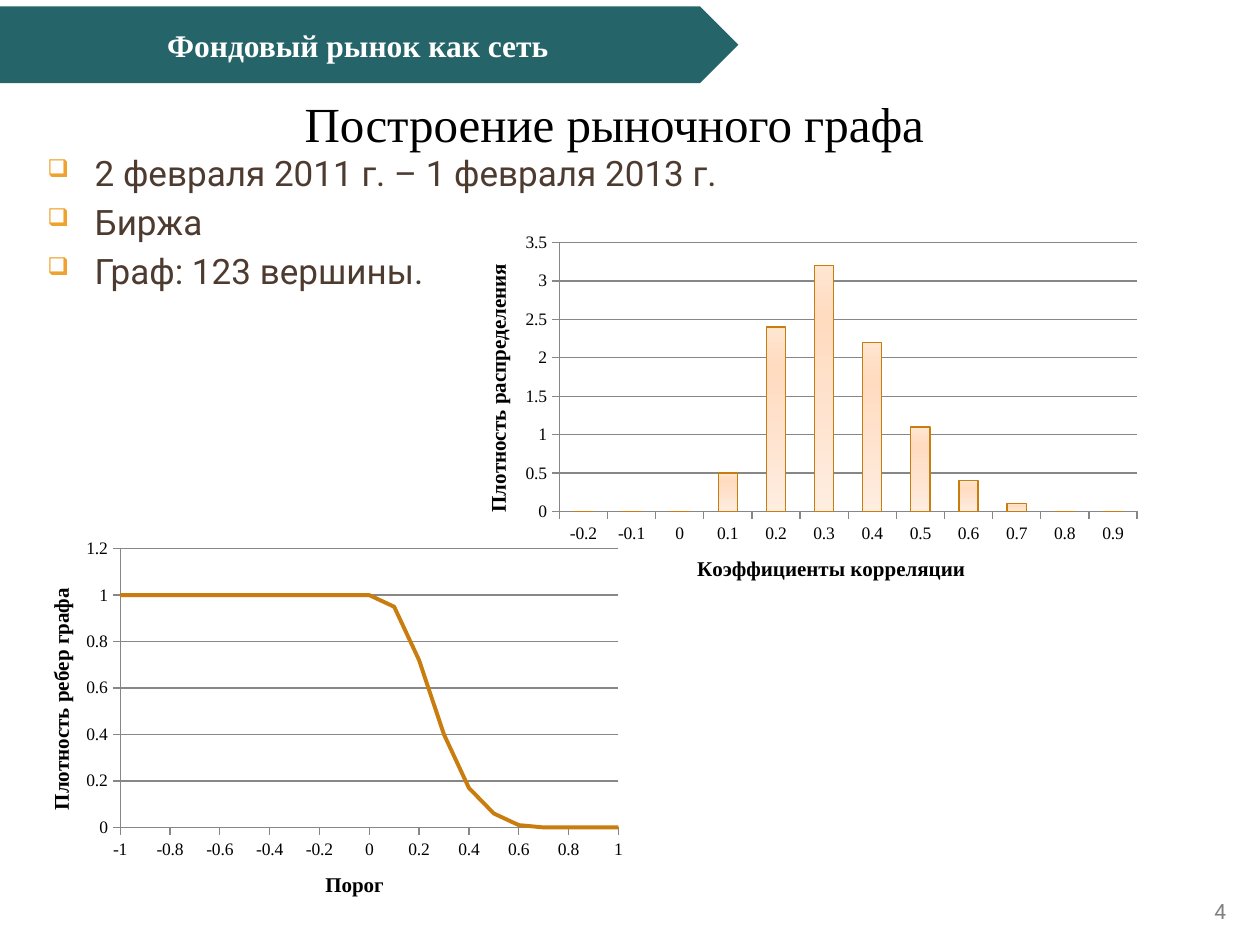
import pptx
import pptx.chart.data
import pptx.dml.color
import pptx.enum.chart
import pptx.enum.shapes
import pptx.enum.text
import pptx.oxml
import pptx.oxml.ns
import pptx.util

Pt = pptx.util.Pt
ALIGN = pptx.enum.text.PP_ALIGN
ANCHOR = pptx.enum.text.MSO_ANCHOR
TYPE = pptx.enum.chart.XL_CHART_TYPE
SERIF, SANS = "Times New Roman", "Roboto"
HUES = {
    "black": "000000", "white": "FFFFFF", "teal": "256569", "brown": "4E3B30",
    "gold": "F0A22E", "amber": "C87D0E", "gray": "808080", "grid": "878787",
}
FADE = [(0, "FFE6D1"), (22, "FFDBC0"), (100, "FFEDE0")]


def rgb(name):
    return pptx.dml.color.RGBColor.from_string(HUES[name])


def xml(tag, attrs="", inner=""):
    """Make an element such as a:buChar from its tag, attributes and content."""
    names = pptx.oxml.ns.nsdecls("a", "c")
    return pptx.oxml.parse_xml(f"<{tag} {names} {attrs}>{inner}</{tag}>")


class Deck:
    def __init__(self, wide, high):
        self.file = pptx.Presentation()
        self.file.slide_width, self.file.slide_height = Pt(wide), Pt(high)
        self.slide = self.file.slides.add_slide(self.file.slide_layouts[6])

    def style(self, font, size, hue, face=SERIF, bold=False):
        font.size, font.name, font.bold = Pt(size), face, bold
        font.color.rgb = rgb(hue)

    def fill(self, frame, lines, look, align, anchor, bullet=False):
        frame.word_wrap = True
        frame.vertical_anchor = anchor
        for i, line in enumerate(lines):
            para = frame.add_paragraph() if i else frame.paragraphs[0]
            para.text, para.alignment = line, align
            if bullet:
                self.bullet(para)
            self.style(para.font, **look)

    def bullet(self, para):
        props = para._p.get_or_add_pPr()
        props.set("marL", str(Pt(27)))
        props.set("indent", str(Pt(-27)))
        props.append(xml("a:buClr", "", f'<a:srgbClr val="{HUES["gold"]}"/>'))
        props.append(xml("a:buSzPct", 'val="70000"'))
        props.append(xml("a:buChar", 'char="❑"'))
        para.space_before = Pt(4)

    def text(self, box, lines, look, align=ALIGN.LEFT, anchor=ANCHOR.TOP, bullet=False):
        shape = self.slide.shapes.add_textbox(*map(Pt, box))
        self.fill(shape.text_frame, lines, look, align, anchor, bullet)

    def banner(self, box, line, look):
        kind = pptx.enum.shapes.MSO_SHAPE.PENTAGON
        shape = self.slide.shapes.add_shape(kind, *map(Pt, box))
        shape.shadow.inherit = False
        shape.fill.solid()
        shape.fill.fore_color.rgb = rgb("teal")
        shape.line.fill.background()
        self.fill(shape.text_frame, [line], look, ALIGN.CENTER, ANCHOR.MIDDLE)

    def axis(self, axis, title, grid, low=None, high=None, step=None):
        axis.has_title = True
        axis.axis_title.text_frame.text = title
        para = axis.axis_title.text_frame.paragraphs[0]
        self.style(para.font, 12, "black", bold=True)
        self.style(axis.tick_labels.font, 10, "black")
        axis.major_tick_mark = pptx.enum.chart.XL_TICK_MARK.OUTSIDE
        axis.minor_tick_mark = pptx.enum.chart.XL_TICK_MARK.NONE
        axis.has_major_gridlines = grid
        lines = [axis.format.line]
        if grid:
            lines.append(axis.major_gridlines.format.line)
        for line in lines:
            line.color.rgb, line.width = rgb("grid"), Pt(0.75)
        if step:
            axis.minimum_scale, axis.maximum_scale = low, high
            axis.major_unit = step

    def chart(self, kind, box, data, plot, across, up):
        frame = self.slide.shapes.add_chart(kind, *map(Pt, box), data)
        chart = frame.chart
        chart.has_title = chart.has_legend = False
        self.style(chart.font, 10, "black")
        self.axis(chart.category_axis, **across)
        self.axis(chart.value_axis, **up)
        # Fixed inner plot area
        area = chart._chartSpace.chart.plotArea
        for old in area.findall(pptx.oxml.ns.qn("c:layout")):
            area.remove(old)
        parts = '<c:layoutTarget val="inner"/><c:xMode val="edge"/><c:yMode val="edge"/>'
        parts += "".join(f'<c:{key} val="{val}"/>' for key, val in zip("xywh", plot))
        area.insert(0, xml("c:layout", "", f"<c:manualLayout>{parts}</c:manualLayout>"))
        return chart

    def outline(self, line, width):
        line.color.rgb, line.width = rgb("amber"), Pt(width)

    def bars(self, box, cats, vals, **rest):
        data = pptx.chart.data.CategoryChartData()
        data.categories = cats
        data.add_series("Series 1", vals)
        chart = self.chart(TYPE.COLUMN_CLUSTERED, box, data, **rest)
        plot = chart.plots[0]
        plot.gap_width, plot.vary_by_categories = 150, False
        form = plot.series[0].format
        self.outline(form.line, 0.75)
        # Three-stop fade, top to bottom
        stops = "".join(
            f'<a:gs pos="{pos * 1000}"><a:srgbClr val="{hue}"/></a:gs>' for pos, hue in FADE
        )
        inner = f'<a:gsLst>{stops}</a:gsLst><a:lin ang="5400000" scaled="0"/>'
        plot.series[0]._element.spPr.insert(0, xml("a:gradFill", "", inner))

    def curve(self, box, points, **rest):
        data = pptx.chart.data.XyChartData()
        row = data.add_series("Series 1")
        for x, y in points:
            row.add_data_point(x, y)
        chart = self.chart(TYPE.XY_SCATTER_SMOOTH_NO_MARKERS, box, data, **rest)
        chart.category_axis.crosses = pptx.enum.chart.XL_AXIS_CROSSES.MINIMUM
        chart.plots[0].vary_by_categories = False
        line = chart.plots[0].series[0]
        line.marker.style = pptx.enum.chart.XL_MARKER_STYLE.NONE
        self.outline(line.format.line, 2.25)


def main():
    deck = Deck(720, 540)

    # Title and facts
    deck.text((39, 44.6, 624, 51), ["Построение рыночного графа"],
              dict(size=28, hue="black"), ALIGN.CENTER, ANCHOR.MIDDLE)
    facts = ["2 февраля 2011 г. – 1 февраля 2013 г.", "Биржа", "Граф: 123 вершины."]
    deck.text((20, 82.8, 408, 96.5), facts,
              dict(size=20, hue="brown", face=SANS), bullet=True)

    # Spread of correlations
    deck.bars(
        (275, 105.8, 388, 232.6),
        [f"{i / 10:g}" for i in range(-2, 10)],
        [0, 0, 0, 0.5, 2.4, 3.2, 2.2, 1.1, 0.4, 0.1, 0, 0],
        plot=(0.115, 0.141, 0.851, 0.661),
        across=dict(title="Коэффициенты корреляции", grid=False),
        up=dict(title="Плотность распределения", grid=True, low=0, high=3.5, step=0.5),
    )

    # Edge density by threshold
    dense = [1] * 11 + [0.95, 0.72, 0.4, 0.17, 0.06, 0.01] + [0] * 4
    deck.curve(
        (25.2, 287.3, 339.8, 232.6),
        [(i / 10, y) for i, y in enumerate(dense, -10)],
        plot=(0.128, 0.113, 0.838, 0.685),
        across=dict(title="Порог", grid=False, low=-1, high=1, step=0.2),
        up=dict(title="Плотность ребер графа", grid=True, low=0, high=1.2, step=0.2),
    )

    # Section banner and page number
    deck.banner((-2, 3.6, 424, 44), "Фондовый рынок как сеть",
                dict(size=18, hue="white", bold=True))
    deck.text((648, 509.8, 59.8, 19.4), ["4"],
              dict(size=12, hue="gray", face=SANS), ALIGN.RIGHT)

    deck.file.save("out.pptx")


if __name__ == "__main__":
    main()
